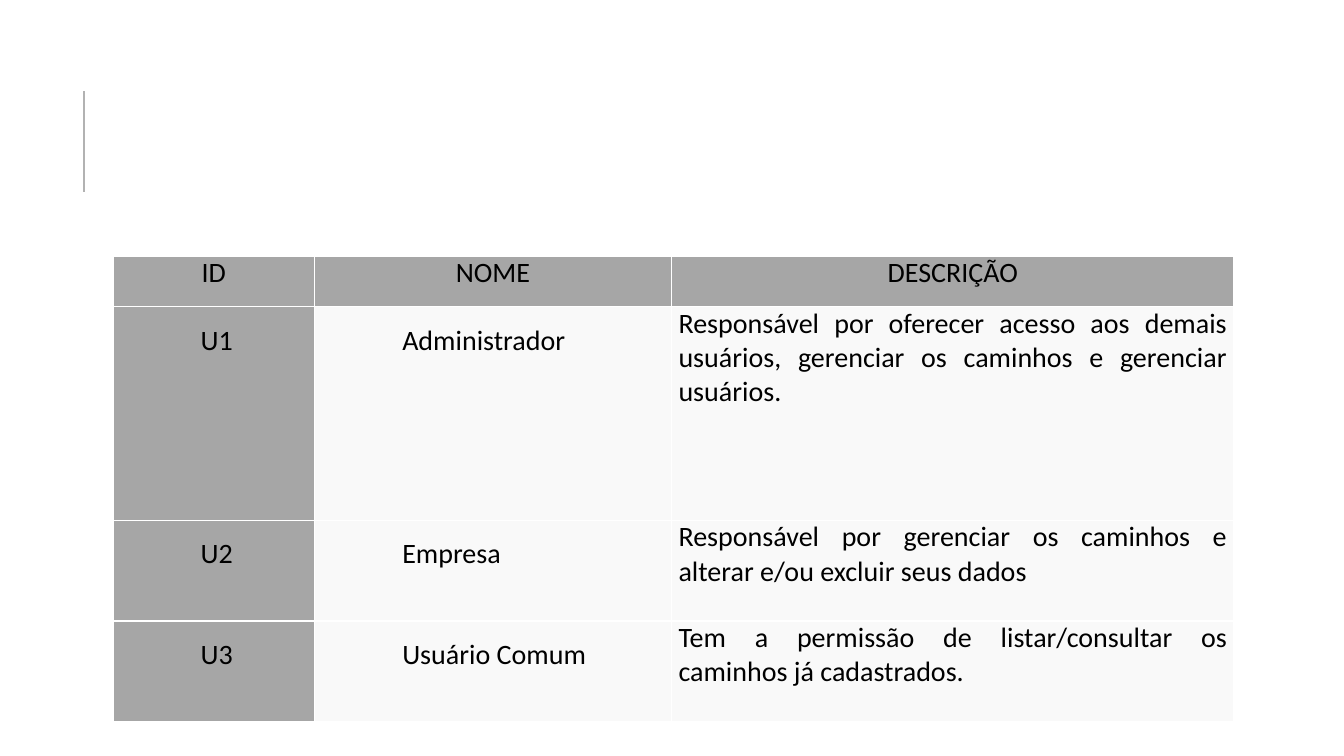
import pptx
import pptx.util
import pptx.dml.color
import pptx.enum.shapes
import pptx.enum.text
import pptx.oxml.ns
from lxml import etree

Inches, Pt = pptx.util.Inches, pptx.util.Pt
RGBColor = pptx.dml.color.RGBColor
ALIGN = pptx.enum.text.PP_ALIGN
qn = pptx.oxml.ns.qn

# Content
ROWS = [
    ("ID", "NOME", "DESCRIÇÃO"),
    ("U1", "Administrador", "Responsável por oferecer acesso aos demais usuários, "
     "gerenciar os caminhos e gerenciar usuários."),
    ("U2", "Empresa", "Responsável por gerenciar os caminhos e alterar e/ou excluir seus dados"),
    ("U3", "Usuário Comum", "Tem a permissão de listar/consultar os caminhos já cadastrados."),
]
COL_WIDTHS = (2, 3.54, 5.58)
ROW_HEIGHTS = (0.5, 2.12, 1, 1)

# Style
HEADING_FILL = RGBColor(0xA6, 0xA6, 0xA6)
BODY_FILL = RGBColor(0xF9, 0xF9, 0xF9)
TEXT = RGBColor(0, 0, 0)
RULE = RGBColor(0xB2, 0xB2, 0xB2)
BORDER = RGBColor(0xFF, 0xFF, 0xFF)


def add_borders(cell):
    tcPr = cell._tc.get_or_add_tcPr()
    for i, side in enumerate(("lnL", "lnR", "lnT", "lnB")):
        ln = etree.Element(qn("a:" + side), w=str(Pt(1)))
        fill = etree.SubElement(ln, qn("a:solidFill"))
        etree.SubElement(fill, qn("a:srgbClr"), val=str(BORDER))
        tcPr.insert(i, ln)


def fill_cell(cell, text, row, col):
    cell.margin_left = cell.margin_right = Inches(0.07)
    cell.margin_top = cell.margin_bottom = 0
    cell.fill.solid()
    cell.fill.fore_color.rgb = HEADING_FILL if row == 0 or col == 0 else BODY_FILL
    add_borders(cell)

    p = cell.text_frame.paragraphs[0]
    p.text = text
    p.alignment = ALIGN.CENTER if row == 0 else ALIGN.JUSTIFY
    p.space_before = Pt(3)
    if row > 0 and col < 2:  # indented ID and name
        p.line_spacing = 1.5
        pPr = p._p.get_or_add_pPr()
        pPr.set("marL", str(Inches(0.8)))
        pPr.set("indent", "0")
    else:
        p.space_after = Pt(3)
    font = p.runs[0].font
    font.name, font.size, font.bold = "Calibri", Pt(20), False
    font.color.rgb = TEXT


prs = pptx.Presentation()
prs.slide_width, prs.slide_height = Inches(13.33), Inches(7.5)
s = prs.slides.add_slide(prs.slide_layouts[6])

# Vertical rule beside the title area
rule = s.shapes.add_connector(pptx.enum.shapes.MSO_CONNECTOR.STRAIGHT,
                              Inches(0.83), Inches(1.9), Inches(0.83), Inches(0.9))
rule.line.color.rgb = RULE
rule.line.width = Pt(1.5)
etree.SubElement(rule._element.spPr, qn("a:effectLst"))

# Table of users
table = s.shapes.add_table(len(ROWS), len(COL_WIDTHS), Inches(1.12), Inches(2.54),
                           Inches(sum(COL_WIDTHS)), Inches(sum(ROW_HEIGHTS))).table
for column, width in zip(table.columns, COL_WIDTHS):
    column.width = Inches(width)
for r, (texts, height) in enumerate(zip(ROWS, ROW_HEIGHTS)):
    table.rows[r].height = Inches(height)
    for c, text in enumerate(texts):
        fill_cell(table.cell(r, c), text, r, c)

prs.save("out.pptx")
